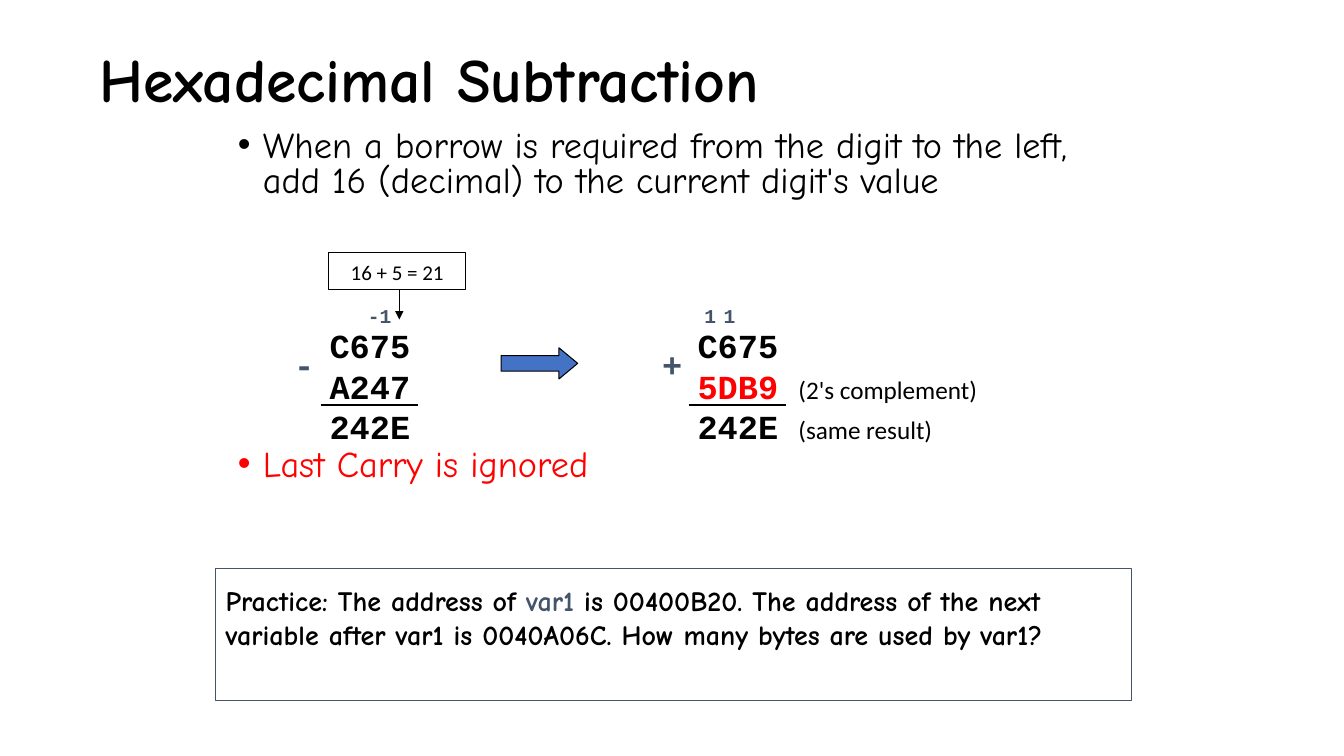
import pptx
import pptx.dml.color
import pptx.enum.shapes
import pptx.enum.text
import pptx.oxml.ns
import pptx.util
import lxml.etree

CELL = pptx.util.Inches(1)
COLUMNS, ROWS = 13.33, 7.5
BLACK, RED, SLATE, BLUE, WHITE = "000000", "FF0000", "44546A", "4472C4", "FFFFFF"
COMIC, CODE, PLAIN = "Comic Neue", "Courier New", "Calibri"
SHAPES = pptx.enum.shapes.MSO_SHAPE
MIDDLE = pptx.enum.text.MSO_ANCHOR.MIDDLE
CENTER = pptx.enum.text.PP_ALIGN.CENTER
PADDED = (0.1, 0.15)


def color(value):
    return pptx.dml.color.RGBColor.from_string(value)


def cells(*lengths):
    return [round(length * CELL) for length in lengths]


def add_element(parent, tag, **attributes):
    return lxml.etree.SubElement(parent, pptx.oxml.ns.qn(tag), attributes)


def set_insets(frame, across, down):
    frame.margin_left = frame.margin_right = cells(across)[0]
    frame.margin_top = frame.margin_bottom = cells(down)[0]


def add_text(page, box, insets=(0.1, 0.05), anchor=pptx.enum.text.MSO_ANCHOR.TOP):
    frame = page.shapes.add_textbox(*cells(*box)).text_frame
    frame.word_wrap = True
    frame.vertical_anchor = anchor
    set_insets(frame, *insets)
    return frame


def add_span(para, text, size, font, ink=BLACK, bold=True):
    span = para.add_run()
    span.text = text
    span.font.size = pptx.util.Pt(size)
    span.font.name = font
    span.font.bold = bold
    span.font.color.rgb = color(ink)


def add_preset(page, kind, box, fill, ink):
    shape = page.shapes.add_shape(kind, *cells(*box))
    shape.shadow.inherit = False
    if fill:
        shape.fill.solid()
        shape.fill.fore_color.rgb = color(fill)
    else:
        shape.fill.background()
    shape.line.color.rgb = color(ink)
    shape.line.width = pptx.util.Pt(0.75)
    return shape


def add_line(page, start, end, width):
    line = page.shapes.add_connector(
        pptx.enum.shapes.MSO_CONNECTOR.STRAIGHT, *cells(*start, *end))
    line.line.color.rgb = color(BLACK)
    line.line.width = pptx.util.Pt(width)
    add_element(line._element.spPr, "a:effectLst")
    return line


def add_title(page, box):
    para = add_text(page, box, anchor=MIDDLE).paragraphs[0]
    para.line_spacing = 0.9
    add_span(para, "Hexadecimal Subtraction", 44, COMIC)


def add_rules(page, box, rules, gap):
    frame = add_text(page, box)
    for index, (text, ink) in enumerate(rules):
        para = frame.add_paragraph() if index else frame.paragraphs[0]
        para.line_spacing = 0.8
        if index:
            para.space_before = pptx.util.Pt(gap)
        properties = para._p.get_or_add_pPr()
        indent = cells(0.25)[0]
        properties.set("marL", str(indent))
        properties.set("indent", str(-indent))
        add_element(properties, "a:buFont", typeface="Arial")
        add_element(properties, "a:buChar", char="•")
        add_span(para, text, 25.9, COMIC, ink, False)


def add_sum(page, box, operator, rows, carries):
    left, top, width, height = box
    frame = add_text(page, box, PADDED)
    for index, (digits, ink, remark) in enumerate(rows):
        para = frame.add_paragraph() if index else frame.paragraphs[0]
        para.line_spacing = pptx.util.Pt(29)
        add_span(para, digits + (" " if remark else ""), 24, CODE, ink)
        if remark:
            add_span(para, remark, 18, PLAIN, bold=False)
    add_line(page, (left + 0.01, top + 0.95), (left + 0.98, top + 0.95), 1.5)
    sign = add_text(page, (left - 0.35, top + 0.19, 0.33, 0.71), PADDED)
    add_span(sign.paragraphs[0], operator, 24, CODE, SLATE)
    for carry, offset in carries:
        mark = add_text(page, (left + offset, top - 0.06, 0.25, 0.24), (0, 0), MIDDLE)
        mark.paragraphs[0].alignment = CENTER
        add_span(mark.paragraphs[0], carry, 14, CODE, SLATE)


def add_borrow_note(page, box):
    left, top, width, height = box
    arrow = add_line(page, (left + 0.7, top + height), (left + 0.7, top + 0.66), 0.75)
    add_element(arrow.line._get_or_add_ln(), "a:tailEnd", type="triangle")
    note = add_preset(page, SHAPES.RECTANGLE, box, WHITE, BLACK)
    frame = note.text_frame
    set_insets(frame, 0.1, 0.04)
    frame.vertical_anchor = MIDDLE
    para = frame.paragraphs[0]
    para.alignment = CENTER
    para.line_spacing = 1.1
    add_span(para, "16 + 5 = 21", 15, PLAIN, bold=False)


def add_practice(page, box):
    frame = add_preset(page, SHAPES.RECTANGLE, box, None, SLATE).text_frame
    frame.word_wrap = True
    frame.vertical_anchor = pptx.enum.text.MSO_ANCHOR.TOP
    set_insets(frame, *PADDED)
    para = frame.paragraphs[0]
    para.alignment = pptx.enum.text.PP_ALIGN.LEFT
    add_span(para, "Practice: The address of ", 20, COMIC)
    add_span(para, "var1", 20, COMIC, SLATE)
    add_span(para, " is 00400B20. The address of the next variable after var1 "
             "is 0040A06C. How many bytes are used by var1?", 20, COMIC)


def build_slide(deck):
    page = deck.slides.add_slide(deck.slide_layouts[6])
    add_title(page, (0.89, 0.09, 11.5, 1.45))
    add_rules(page, (2.26, 1.25, 8.51, 4.2), [
        ("When a borrow is required from the digit to the left, "
         "add 16 (decimal) to the current digit's value", BLACK),
        ("Last Carry is ignored", RED),
    ], 178)
    add_practice(page, (2.14, 5.64, 9.08, 1.31))
    add_sum(page, (3.17, 3.07, 1.61, 1.51), "-", [
        ("C675", BLACK, ""), ("A247", BLACK, ""), ("242E", BLACK, ""),
    ], [("-1", 0.47)])
    add_borrow_note(page, (3.26, 2.51, 1.36, 0.36))
    arrow = add_preset(page, SHAPES.RIGHT_ARROW, (4.97, 3.45, 0.76, 0.31), BLUE, BLACK)
    arrow.adjustments[1] = 0.6
    add_sum(page, (6.82, 3.07, 3.18, 1.51), "+", [
        ("C675", BLACK, ""),
        ("5DB9", RED, "(2's complement)"),
        ("242E", BLACK, "(same result)"),
    ], [("1", 0.1), ("1", 0.29)])


def main():
    deck = pptx.Presentation()
    deck.slide_width, deck.slide_height = cells(COLUMNS, ROWS)
    build_slide(deck)
    deck.save("out.pptx")


if __name__ == "__main__":
    main()
